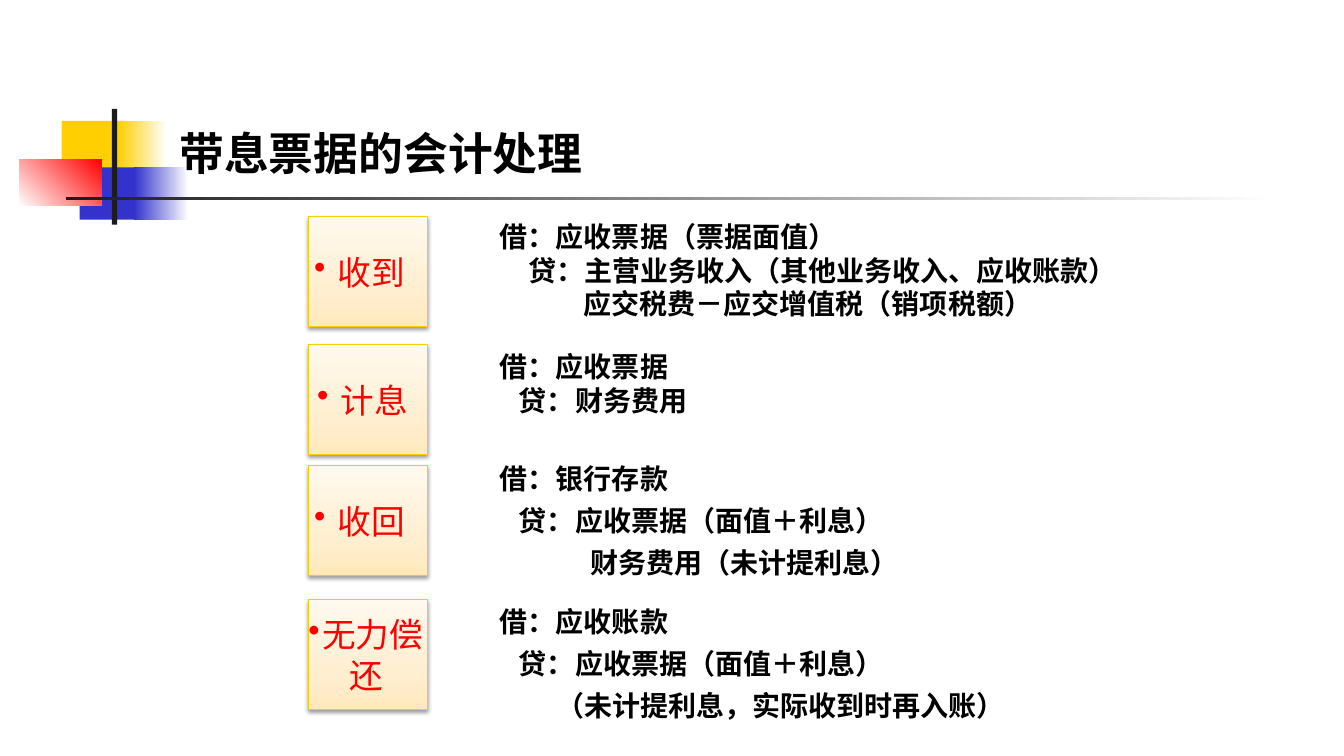
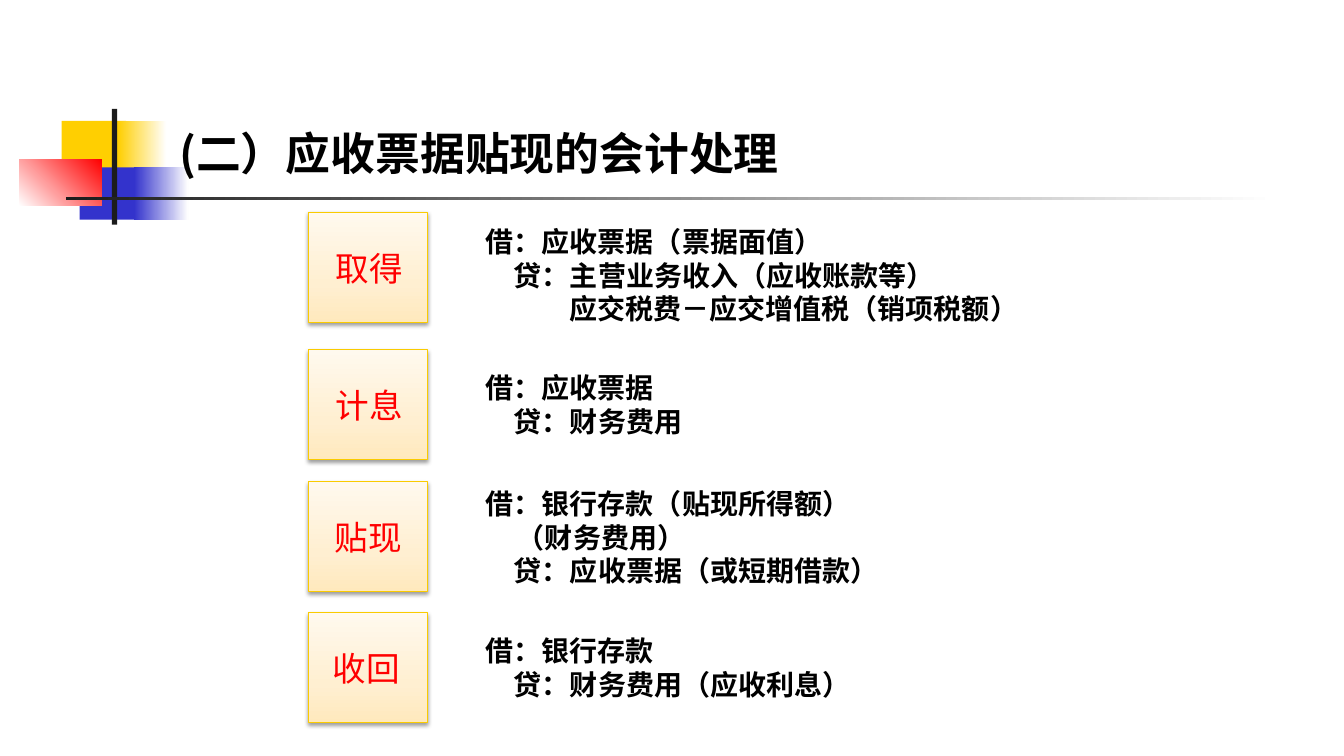
from copy import deepcopy
from dataclasses import dataclass

from pptx import Presentation
from pptx.dml.color import RGBColor
from pptx.enum.shapes import MSO_SHAPE
from pptx.enum.text import MSO_ANCHOR, PP_ALIGN
from pptx.oxml import parse_xml
from pptx.oxml.ns import nsdecls, qn
from pptx.util import Emu, Inches, Pt

SLIDE_WIDTH, SLIDE_HEIGHT = Inches(13.333), Inches(7.5)
FONT = "Noto Sans CJK SC"
BLACK, RED, YELLOW, BLUE = "000000", "FF0000", "FFCF01", "3333CC"
CHARCOAL, WHITE, GOLD = "1C1C1C", "FFFFFF", "FACB00"

# All places and sizes below are percentages of the slide's width or height.
CARD_LEFT, CARD_WIDTH, CARD_HEIGHT = 22.95, 8.85, 14.53
LABEL_WIDTH, LABEL_LINE = 8.63, 5.37
ENTRY_WIDTH, ENTRY_LINE, ENTRY_PADDING = 50, 4.47, 1.33
POINTS_PER_PERCENT = 5.4


@dataclass(frozen=True)
class Area:
    left: float
    top: float
    width: float
    height: float

    def lengths(self) -> tuple[Emu, Emu, Emu, Emu]:
        return (
            Emu(round(SLIDE_WIDTH * self.left / 100)),
            Emu(round(SLIDE_HEIGHT * self.top / 100)),
            Emu(round(SLIDE_WIDTH * self.width / 100)),
            Emu(round(SLIDE_HEIGHT * self.height / 100)),
        )


@dataclass(frozen=True)
class Paint:
    """Stops run along the angle, which turns counter-clockwise; one stop is solid."""
    stops: tuple[tuple[float, str], ...]
    angle: float = 0


@dataclass(frozen=True)
class Line:
    """One line of a journal entry, indented in inches."""
    text: str
    indent: float = 0


@dataclass(frozen=True)
class Step:
    label: str
    card_top: float
    label_left: float
    entry_top: float
    lines: tuple[Line, ...]
    gap: float = 0


@dataclass(frozen=True)
class Page:
    title: str
    entry_left: float
    bulleted: bool
    steps: tuple[Step, ...]


def solid(color: str) -> Paint:
    return Paint(((0, color),))


def blend(first: str, last: str, angle: float = 0) -> Paint:
    return Paint(((0, first), (1, last)), angle)


MARKS = (
    (Area(4.58, 16, 4.8, 6.93), solid(YELLOW)),
    (Area(8.78, 16, 3.6, 6.93), blend(YELLOW, WHITE)),
    (Area(5.93, 22.13, 4.65, 6.93), solid(BLUE)),
    (Area(9.98, 22.13, 4.05, 6.93), blend(BLUE, WHITE)),
    (Area(1.43, 21.07, 6.15, 6.13), blend(WHITE, RED, 45)),
    (Area(8.33, 14.4, 0.38, 15.33), solid(CHARCOAL)),
    (Area(4.88, 26, 90, 0.45), blend(CHARCOAL, WHITE)),
)
TITLE_AREA = Area(12.6, 3.07, 85.2, 21.33)
CARD_PAINT = Paint(((0, "FFE9BD"), (0.35, "FFEFD1"), (1, "FFF9EE")), 90)

PAGES = (
    Page("带息票据的会计处理", 36.45, True, (
        Step("收到", 28.67, 22.88, 28.4, (
            Line("借：应收票据（票据面值）"),
            Line("贷：主营业务收入（其他业务收入、应收账款）", 0.28),
            Line("应交税费－应交增值税（销项税额）", 0.83),
        )),
        Step("计息", 45.6, 23.1, 45.6, (
            Line("借：应收票据"),
            Line("贷：财务费用", 0.19),
        )),
        Step("收回", 61.6, 22.88, 60.4, (
            Line("借：银行存款"),
            Line("贷：应收票据（面值＋利息）", 0.19),
            Line("财务费用（未计提利息）", 0.9),
        ), gap=6),
        Step("无力偿还", 79.33, 22.95, 79.33, (
            Line("借：应收账款"),
            Line("贷：应收票据（面值＋利息）", 0.19),
            Line("（未计提利息，实际收到时再入账）", 0.56),
        ), gap=6),
    )),
    Page("(二）应收票据贴现的会计处理", 35.4, False, (
        Step("取得", 28.13, 23.18, 29.07, (
            Line("借：应收票据（票据面值）"),
            Line("贷：主营业务收入（应收账款等）", 0.28),
            Line("应交税费－应交增值税（销项税额）", 0.83),
        )),
        Step("计息", 46.27, 23.18, 48.4, (
            Line("借：应收票据"),
            Line("贷：财务费用", 0.28),
        )),
        Step("贴现", 63.73, 23.1, 63.73, (
            Line("借：银行存款（贴现所得额）"),
            Line("（财务费用）", 0.31),
            Line("贷：应收票据（或短期借款）", 0.28),
        )),
        Step("收回", 81.07, 22.95, 83.2, (
            Line("借：银行存款"),
            Line("贷：财务费用（应收利息）", 0.28),
        )),
    )),
)


def rgb(color: str) -> RGBColor:
    return RGBColor.from_string(color)


def apply_paint(shape, paint: Paint) -> None:
    if len(paint.stops) == 1:
        shape.fill.solid()
        shape.fill.fore_color.rgb = rgb(paint.stops[0][1])
        return
    shape.fill.gradient()
    shape.fill.gradient_angle = paint.angle
    stop_list = shape._element.spPr.find(".//" + qn("a:gsLst"))
    while len(stop_list) < len(paint.stops):
        stop_list.append(deepcopy(stop_list[0]))
    for stop, (position, color) in zip(shape.fill.gradient_stops, paint.stops):
        stop.position = position
        stop.color.rgb = rgb(color)


def add_rectangle(slide, area: Area, paint: Paint):
    shape = slide.shapes.add_shape(MSO_SHAPE.RECTANGLE, *area.lengths())
    shape.shadow.inherit = False
    shape.line.fill.background()
    apply_paint(shape, paint)
    return shape


def add_card(slide, top: float) -> None:
    card = add_rectangle(slide, Area(CARD_LEFT, top, CARD_WIDTH, CARD_HEIGHT), CARD_PAINT)
    card.line.color.rgb = rgb(GOLD)
    card.line.width = Pt(0.75)
    card._element.spPr.find(qn("a:effectLst")).append(parse_xml(
        f'<a:outerShdw {nsdecls("a")} blurRad="{Pt(3.1)}" dist="{Pt(1.6)}" '
        'dir="5400000" rotWithShape="0"><a:srgbClr val="000000">'
        '<a:alpha val="38000"/></a:srgbClr></a:outerShdw>'
    ))


def add_text_frame(slide, area: Area, anchor: MSO_ANCHOR):
    frame = slide.shapes.add_textbox(*area.lengths()).text_frame
    frame.word_wrap = True
    frame.vertical_anchor = anchor
    return frame


def style(para, size: float, color: str, bold: bool) -> None:
    font = para.font
    font.size, font.bold, font.name = Pt(size), bold, FONT
    font.color.rgb = rgb(color)
    properties = para._p.pPr.find(qn("a:defRPr"))
    properties.append(parse_xml(f'<a:ea {nsdecls("a")} typeface="{FONT}"/>'))


def add_bullet(para) -> None:
    properties = para._p.get_or_add_pPr()
    for tag in (
        f'<a:buClr {nsdecls("a")}><a:srgbClr val="{RED}"/></a:buClr>',
        f'<a:buChar {nsdecls("a")} char="•"/>',
    ):
        properties.append(parse_xml(tag))


def add_title(slide, title: str) -> None:
    para = add_text_frame(slide, TITLE_AREA, MSO_ANCHOR.BOTTOM).paragraphs[0]
    para.text = title
    style(para, 32, BLACK, True)


def add_label(slide, step: Step, bulleted: bool) -> None:
    height = LABEL_LINE * (2 if len(step.label) > 2 else 1)
    top = step.card_top + (CARD_HEIGHT - height) / 2
    frame = add_text_frame(
        slide, Area(step.label_left, top, LABEL_WIDTH, height), MSO_ANCHOR.MIDDLE
    )
    frame.margin_left = frame.margin_right = frame.margin_top = frame.margin_bottom = 0
    para = frame.paragraphs[0]
    para.text = step.label
    para.alignment = PP_ALIGN.CENTER
    if bulleted:
        add_bullet(para)
    style(para, 24, RED, False)


def add_entry(slide, step: Step, left: float) -> None:
    count = len(step.lines)
    gaps = (count - 1) * step.gap / POINTS_PER_PERCENT
    height = ENTRY_PADDING + count * ENTRY_LINE + gaps
    frame = add_text_frame(
        slide, Area(left, step.entry_top, ENTRY_WIDTH, height), MSO_ANCHOR.TOP
    )
    for index, line in enumerate(step.lines):
        para = frame.add_paragraph() if index else frame.paragraphs[0]
        para.text = line.text
        para._p.get_or_add_pPr().set("marL", str(Inches(line.indent)))
        if index and step.gap:
            para.space_before = Pt(step.gap)
        style(para, 20, BLACK, True)


def add_page(deck, page: Page) -> None:
    slide = deck.slides.add_slide(deck.slide_layouts[6])
    for area, paint in MARKS:
        add_rectangle(slide, area, paint)
    add_title(slide, page.title)
    for step in page.steps:
        add_card(slide, step.card_top)
        add_label(slide, step, page.bulleted)
        add_entry(slide, step, page.entry_left)


def main() -> None:
    deck = Presentation()
    deck.slide_width, deck.slide_height = SLIDE_WIDTH, SLIDE_HEIGHT
    for page in PAGES:
        add_page(deck, page)
    deck.save("out.pptx")


if __name__ == "__main__":
    main()
